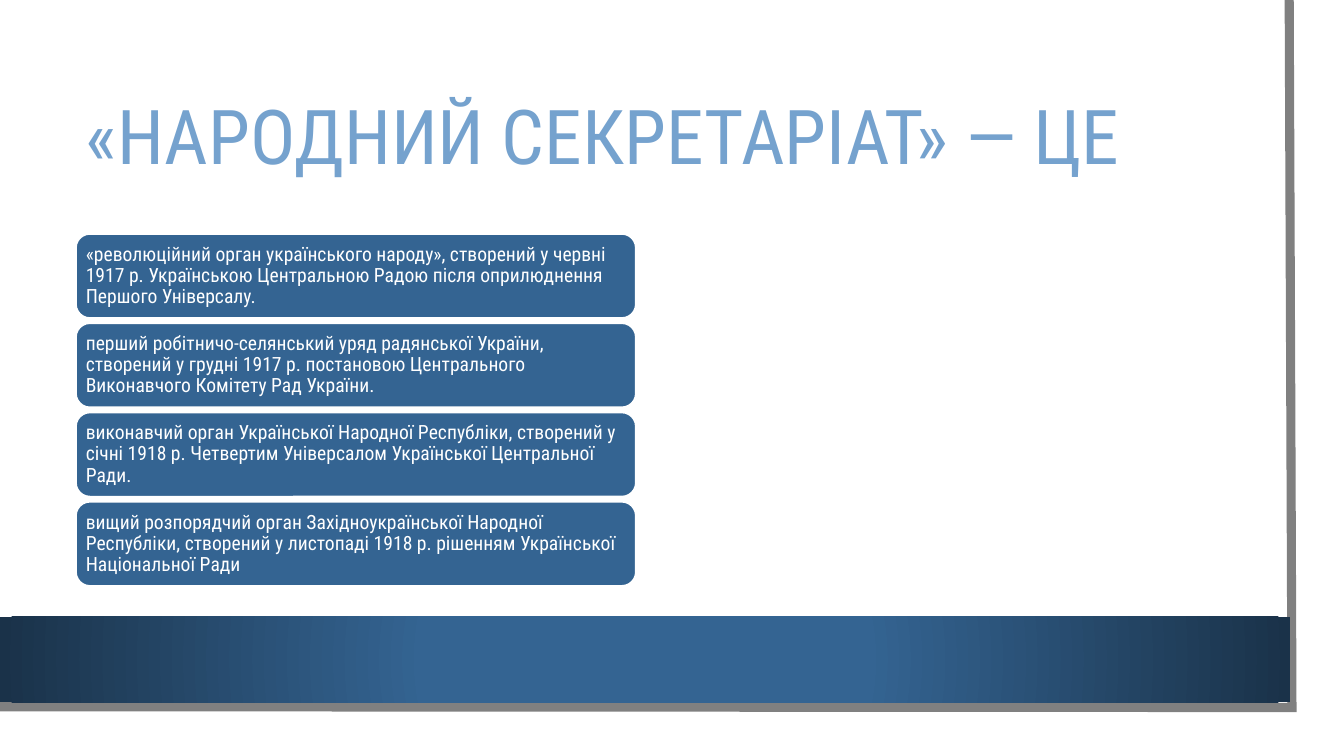
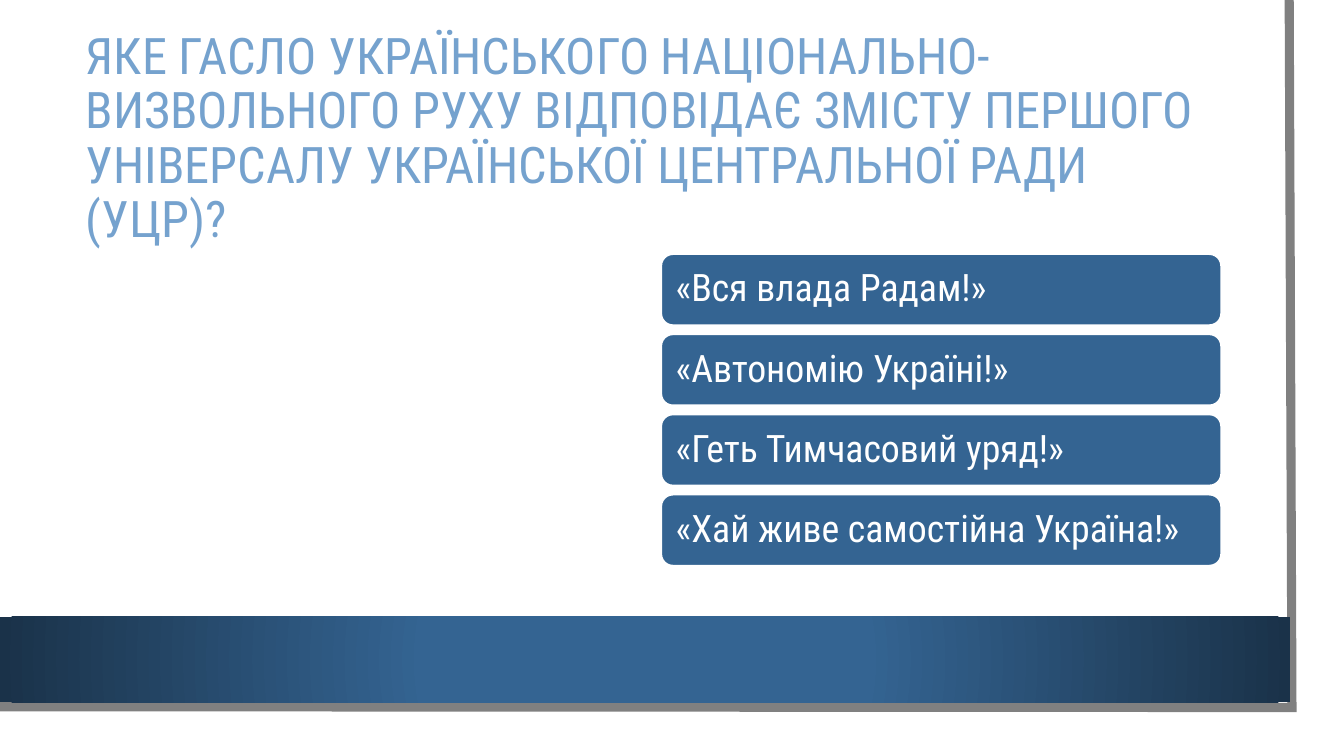
from dataclasses import dataclass

from lxml.etree import SubElement
from pptx import Presentation
from pptx.dml.color import RGBColor
from pptx.enum.shapes import MSO_SHAPE
from pptx.enum.text import MSO_ANCHOR, MSO_AUTO_SIZE, PP_ALIGN
from pptx.oxml.ns import qn
from pptx.slide import Slide
from pptx.text.text import TextFrame
from pptx.util import Cm, Pt

FONT = "Roboto Condensed"
WHITE = "FFFFFF"
BLUE = "346492"
NAVY = "1A3249"
SKY = "75A2CE"
GREY = "808080"
CARD_WIDTH = 14.12


@dataclass(frozen=True)
class CardColumn:
    left: float
    top: float
    height: float
    pitch: float
    inset: float
    size: float
    answers: tuple[str, ...]


@dataclass(frozen=True)
class Question:
    title: str
    title_size: float
    cards: CardColumn


QUESTIONS = (
    Question(
        "«НАРОДНИЙ СЕКРЕТАРІАТ» — ЦЕ",
        54,
        CardColumn(1.91, 5.89, 2.13, 2.25, 0.15, 14, (
            "«революційний орган українського народу», створений у червні 1917 р. "
            "Українською Центральною Радою після оприлюднення Першого Універсалу.",
            "перший робітничо-селянський уряд радянської України, створений у грудні "
            "1917 р. постановою Центрального Виконавчого Комітету Рад України.",
            "виконавчий орган Української Народної Республіки, створений у січні "
            "1918 р. Четвертим Універсалом Української Центральної Ради.",
            "вищий розпорядчий орган Західноукраїнської Народної Республіки, створений "
            "у листопаді 1918 р. рішенням Української Національної Ради",
        )),
    ),
    Question(
        "ЯКЕ ГАСЛО УКРАЇНСЬКОГО НАЦІОНАЛЬНО-ВИЗВОЛЬНОГО РУХУ ВІДПОВІДАЄ ЗМІСТУ "
        "ПЕРШОГО УНІВЕРСАЛУ УКРАЇНСЬКОЇ ЦЕНТРАЛЬНОЇ РАДИ (УЦР)?",
        36,
        CardColumn(16.66, 6.4, 1.8, 2.02, 0.28, 27, (
            "«Вся влада Радам!»",
            "«Автономію Україні!»",
            "«Геть Тимчасовий уряд!»",
            "«Хай живе самостійна Україна!»",
        )),
    ),
)


def colour(value: str) -> RGBColor:
    return RGBColor.from_string(value)


def write(frame: TextFrame, words: str, size: float, ink: str) -> None:
    frame.text = words
    frame.word_wrap = True
    frame.auto_size = MSO_AUTO_SIZE.NONE
    frame.vertical_anchor = MSO_ANCHOR.MIDDLE
    paragraph = frame.paragraphs[0]
    paragraph.alignment = PP_ALIGN.LEFT
    paragraph.line_spacing = 0.9
    font = paragraph.runs[0].font
    font.name = FONT
    font.size = Pt(size)
    font.color.rgb = colour(ink)


def draw_edge(slide: Slide) -> None:
    outline = slide.shapes.build_freeform(Cm(32.49), 0)
    outline.add_line_segments(
        [(Cm(32.56), Cm(17.83)), (Cm(-0.08), Cm(17.81))], close=False
    )
    edge = outline.convert_to_shape()
    edge.shadow.inherit = False
    edge.fill.background()
    edge.line.color.rgb = colour(GREY)
    edge.line.width = Pt(6.5)
    stroke = edge.element.spPr.find(qn("a:ln"))
    SubElement(stroke, qn("a:miter"), lim="800000")


def draw_band(slide: Slide) -> None:
    band = slide.shapes.add_shape(
        MSO_SHAPE.RECTANGLE, 0, Cm(15.54), Cm(32.51), Cm(2.16)
    )
    band.shadow.inherit = False
    band.line.fill.background()
    band.fill.gradient()
    for stop, (position, shade) in zip(
        band.fill.gradient_stops, ((0.34, BLUE), (1, NAVY))
    ):
        stop.position = position
        stop.color.rgb = colour(shade)
    gradient = band.element.spPr.find(qn("a:gradFill"))
    gradient.remove(gradient.find(qn("a:lin")))
    circle = SubElement(gradient, qn("a:path"), path="circle")
    SubElement(
        circle, qn("a:fillToRect"), dict.fromkeys(("l", "t", "r", "b"), "50000")
    )


def draw_title(slide: Slide, words: str, size: float) -> None:
    title = slide.shapes.add_textbox(Cm(1.91), Cm(1.91), Cm(28.88), Cm(3.23))
    write(title.text_frame, words, size, SKY)


def draw_cards(slide: Slide, column: CardColumn) -> None:
    for row, answer in enumerate(column.answers):
        card = slide.shapes.add_shape(
            MSO_SHAPE.ROUNDED_RECTANGLE,
            Cm(column.left),
            Cm(column.top + row * column.pitch),
            Cm(CARD_WIDTH),
            Cm(column.height),
        )
        card.shadow.inherit = False
        card.fill.solid()
        card.fill.fore_color.rgb = colour(BLUE)
        card.line.color.rgb = colour(WHITE)
        card.line.width = Pt(1.5)
        frame = card.text_frame
        frame.margin_left = frame.margin_right = Cm(column.inset)
        frame.margin_top = frame.margin_bottom = Cm(column.inset)
        write(frame, answer, column.size, WHITE)


def main() -> None:
    deck = Presentation()
    deck.slide_width = Cm(33.87)
    deck.slide_height = Cm(19.05)
    blank = deck.slide_layouts[6]
    for question in QUESTIONS:
        slide = deck.slides.add_slide(blank)
        draw_edge(slide)
        draw_band(slide)
        draw_title(slide, question.title, question.title_size)
        draw_cards(slide, question.cards)
    deck.save("out.pptx")


if __name__ == "__main__":
    main()
